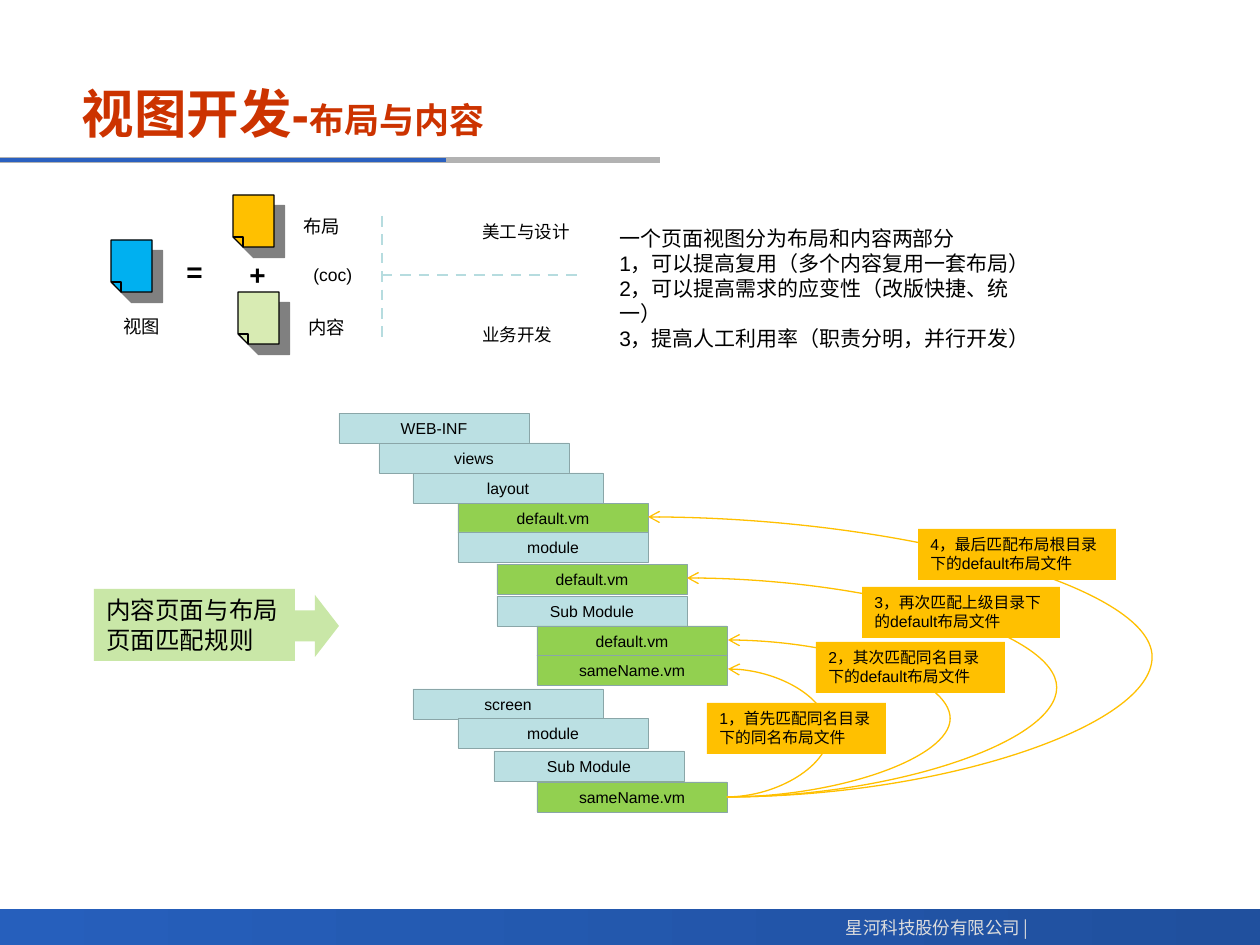
from dataclasses import dataclass

from lxml import etree
from pptx import Presentation
from pptx import util as u
from pptx.dml.color import RGBColor
from pptx.enum import dml, shapes, text
from pptx.oxml import ns

PX = 914400 / 126


@dataclass(frozen=True)
class Theme:
    latin: str = "Arial"
    cjk: str = "Noto Sans CJK SC"
    ink: str = "000000"
    title: str = "CC3300"
    blue: str = "2A60C0"
    gray: str = "B2B2B2"
    bar: tuple = ("265FBC", "20509E")
    footer: str = "DDDDDD"
    divider: str = "B6DCDF"
    folder: str = "BBE0E3"
    file: str = "92D050"
    edge: str = "8AA6A8"
    gold: str = "FFC000"
    rule: str = "C9E7A7"
    shadow: str = "808080"
    title_size: float = 30
    subtitle_size: float = 20
    sign_size: float = 16
    rule_size: float = 14
    body_size: float = 12
    caption_size: float = 10.5
    small_size: float = 10
    tree_size: float = 9


THEME = Theme()


@dataclass(frozen=True)
class Label:
    words: str
    x: int
    y: int
    w: int
    h: int
    size: float
    bold: bool = False


@dataclass(frozen=True)
class Node:
    name: str
    x: int
    y: int


@dataclass(frozen=True)
class Match:
    """A lookup step: its callout, and the curve that bulges out to peak."""
    words: str
    x: int
    y: int
    w: int
    end_x: int
    end_y: int
    peak: int


@dataclass(frozen=True)
class Sheet:
    x: int
    y: int
    color: str


LABELS = [
    Label("视图", 111, 309, 63, 35, THEME.caption_size),
    Label("布局", 291, 209, 63, 35, THEME.caption_size),
    Label("内容", 296, 310, 63, 35, THEME.caption_size),
    Label("=", 174, 248, 42, 47, THEME.sign_size, True),
    Label("+", 237, 251, 42, 47, THEME.sign_size, True),
    Label("(coc)", 301, 258, 64, 34, THEME.small_size),
    Label("美工与设计", 470, 215, 113, 34, THEME.small_size),
    Label("业务开发", 470, 318, 96, 34, THEME.small_size),
]
BENEFITS = Label(
    "一个页面视图分为布局和内容两部分\n"
    "1，可以提高复用（多个内容复用一套布局）\n"
    "2，可以提高需求的应变性（改版快捷、统一）\n"
    "3，提高人工利用率（职责分明，并行开发）",
    607, 219, 455, 115, THEME.body_size)
SHEETS = [Sheet(111, 240, "00B0F0"), Sheet(233, 195, THEME.gold),
          Sheet(238, 292, "D8EBB3")]
TREE = [
    Node("WEB-INF", 339, 413), Node("views", 379, 443),
    Node("layout", 413, 473), Node("default.vm", 458, 503),
    Node("module", 458, 532), Node("default.vm", 497, 564),
    Node("Sub Module", 497, 596), Node("default.vm", 537, 626),
    Node("sameName.vm", 537, 655), Node("screen", 413, 689),
    Node("module", 458, 718), Node("Sub Module", 494, 751),
    Node("sameName.vm", 537, 782),
]
MATCHES = [
    Match("1，首先匹配同名目录下的同名布局文件", 707, 703, 179, 728, 669, 830),
    Match("2，其次匹配同名目录下的default布局文件", 816, 642, 189, 728, 640, 952),
    Match("3，再次匹配上级目录下的default布局文件", 862, 587, 198, 687, 578, 1057),
    Match("4，最后匹配布局根目录下的default布局文件", 918, 529, 198, 648, 517, 1152),
]
CURVE_START = (727, 797)


def px(*lengths: int) -> list[u.Emu]:
    return [u.Emu(round(length * PX)) for length in lengths]


def rgb(color: str) -> RGBColor:
    return RGBColor.from_string(color)


def add_child(parent, tag: str, **attributes: str):
    return etree.SubElement(parent, ns.qn(tag), attributes)


def write(frame, words: str, size: float, color: str = THEME.ink,
          align=text.PP_ALIGN.LEFT, bold: bool = False,
          font: str = THEME.latin) -> None:
    frame.text = words
    for para in frame.paragraphs:
        para.alignment = align
        para.font.name = font
        para.font.size = u.Pt(size)
        para.font.bold = bold
        para.font.color.rgb = rgb(color)


def add_label(page, label: Label, wrap: bool = False, **style) -> None:
    box = page.shapes.add_textbox(*px(label.x, label.y, label.w, label.h))
    box.text_frame.word_wrap = wrap
    write(box.text_frame, label.words, label.size, bold=label.bold, **style)


def add_block(page, x: int, y: int, w: int, h: int, color: str,
              edge: str = "", kind=shapes.MSO_SHAPE.RECTANGLE):
    block = page.shapes.add_shape(kind, *px(x, y, w, h))
    block.shadow.inherit = False
    block.fill.solid()
    block.fill.fore_color.rgb = rgb(color)
    if edge:
        block.line.color.rgb = rgb(edge)
        block.line.width = u.Pt(0.25)
    else:
        block.line.fill.background()
    return block


def add_note(page, words: str, x: int, y: int, w: int, h: int, color: str,
             size: float) -> None:
    note = add_block(page, x, y, w, h, color)
    note.text_frame.vertical_anchor = text.MSO_ANCHOR.TOP
    write(note.text_frame, words, size)


def add_line(page, start: tuple, end: tuple, color: str, width: float,
             kind=shapes.MSO_CONNECTOR.STRAIGHT):
    line = page.shapes.add_connector(kind, *px(*start, *end))
    line.line.color.rgb = rgb(color)
    line.line.width = u.Pt(width)
    add_child(line.element.spPr, "a:effectLst")
    return line


def add_curve(page, match: Match) -> None:
    start_x = CURVE_START[0]
    curve = add_line(page, CURVE_START, (match.end_x, match.end_y), THEME.gold,
                     0.75, shapes.MSO_CONNECTOR.CURVE)
    properties = curve.element.spPr
    guides = properties.find(".//" + ns.qn("a:avLst"))
    bulge = round(100000 * (match.peak - start_x) / (match.end_x - start_x))
    add_child(guides, "a:gd", name="adj1", fmla=f"val {bulge}")
    add_child(properties.find(ns.qn("a:ln")), "a:tailEnd", type="arrow")


def add_sheet(page, sheet: Sheet) -> None:
    """Draw a page with its lower left corner folded, and a hard shadow."""
    w, h, fold = 41, 52, 10
    builder = page.shapes.build_freeform(0, h - fold, scale=PX)
    builder.add_line_segments([(0, 0), (w, 0), (w, h), (fold, h)], close=True)
    builder.move_to(0, h - fold)
    crease = (fold, h - fold)
    builder.add_line_segments([crease, (fold, h), crease], close=False)
    shape = builder.convert_to_shape(*px(sheet.x, sheet.y))
    shape.fill.solid()
    shape.fill.fore_color.rgb = rgb(sheet.color)
    shape.line.color.rgb = rgb(THEME.ink)
    shape.line.width = u.Pt(0.75)
    shape.shadow.inherit = False
    effects = shape.element.spPr.find(ns.qn("a:effectLst"))
    shadow = add_child(effects, "a:outerShdw", dist=str(u.Pt(8.5)),
                       dir="2700000", algn="ctr", rotWithShape="0")
    add_child(shadow, "a:srgbClr", val=THEME.shadow)


def add_frame(page) -> None:
    """Draw the title, the rule below it and the footer bar."""
    title = page.shapes.title
    title.left, title.top, title.width, title.height = px(69, 71, 872, 84)
    frame = title.text_frame
    frame.auto_size = text.MSO_AUTO_SIZE.NONE
    frame.vertical_anchor = text.MSO_ANCHOR.MIDDLE
    write(frame, "视图开发-", THEME.title_size, THEME.title, bold=True)
    span = frame.paragraphs[0].add_run()
    span.text = "布局与内容"
    span.font.size = u.Pt(THEME.subtitle_size)

    add_line(page, (0, 160), (660, 160), THEME.gray, 3)
    add_line(page, (0, 160), (446, 160), THEME.blue, 2.25)
    bar = add_block(page, 0, 909, 1260, 36, THEME.blue)
    bar.fill.gradient()
    bar.fill.gradient_angle = 0
    for stop, color in zip(bar.fill.gradient_stops, THEME.bar):
        stop.color.rgb = rgb(color)
    add_label(page, Label("星河科技股份有限公司 |", 820, 911, 221, 34,
                          THEME.small_size),
              color=THEME.footer, align=text.PP_ALIGN.RIGHT, font=THEME.cjk)


def main() -> None:
    deck = Presentation()
    deck.slide_width, deck.slide_height = px(1260, 945)
    page = deck.slides.add_slide(deck.slide_layouts[5])
    add_frame(page)
    for sheet in SHEETS:
        add_sheet(page, sheet)
    for label in LABELS:
        add_label(page, label)
    add_label(page, BENEFITS, wrap=True)
    for start, end in [((382, 216), (382, 344)), ((382, 275), (581, 275))]:
        divider = add_line(page, start, end, THEME.divider, 1.5)
        divider.line.dash_style = dml.MSO_LINE.DASH
    for node in TREE:
        color = THEME.file if node.name.endswith(".vm") else THEME.folder
        block = add_block(page, node.x, node.y, 190, 30, color, THEME.edge)
        write(block.text_frame, node.name, THEME.tree_size,
              align=text.PP_ALIGN.CENTER)
    for match in MATCHES:
        add_curve(page, match)
    for match in MATCHES:
        add_note(page, match.words, match.x, match.y, match.w, 51, THEME.gold,
                 THEME.tree_size)
    add_note(page, "内容页面与布局页面匹配规则", 94, 589, 201, 72, THEME.rule,
             THEME.rule_size)
    add_block(page, 291, 595, 48, 62, THEME.rule,
              kind=shapes.MSO_SHAPE.RIGHT_ARROW)
    deck.save("out.pptx")


if __name__ == "__main__":
    main()
